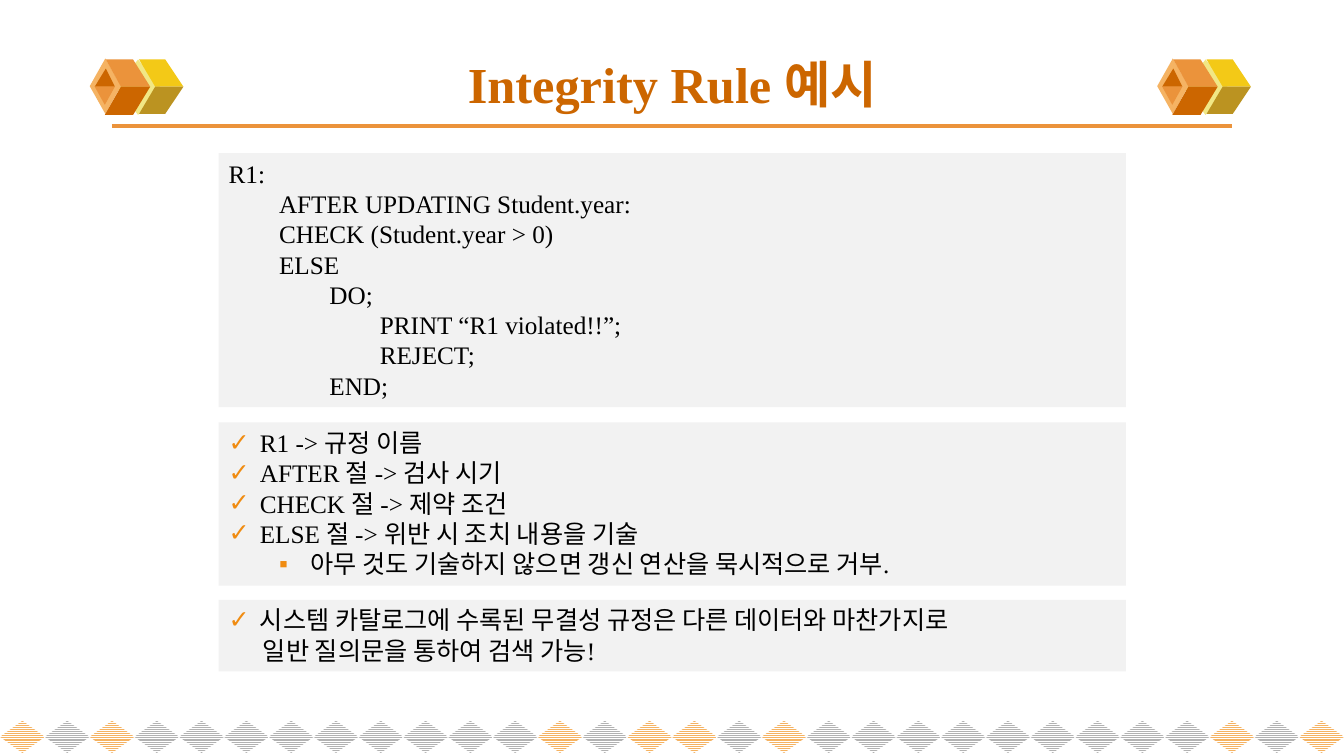
from dataclasses import dataclass

from lxml import etree
from pptx import Presentation
from pptx.dml.color import RGBColor
from pptx.enum.dml import MSO_PATTERN
from pptx.enum.shapes import MSO_CONNECTOR, MSO_SHAPE
from pptx.enum.text import MSO_ANCHOR, MSO_AUTO_SIZE, PP_ALIGN
from pptx.oxml.ns import qn
from pptx.util import Inches, Pt

DIAMOND = MSO_SHAPE.DIAMOND
RECTANGLE = MSO_SHAPE.RECTANGLE
STRAIGHT = MSO_CONNECTOR.STRAIGHT
STRIPES = MSO_PATTERN.NARROW_HORIZONTAL
CENTER, LEFT = PP_ALIGN.CENTER, PP_ALIGN.LEFT
MIDDLE, TOP = MSO_ANCHOR.MIDDLE, MSO_ANCHOR.TOP
GROW = MSO_AUTO_SIZE.SHAPE_TO_FIT_TEXT


@dataclass(frozen=True)
class Theme:
    font: str = "Times New Roman"
    title_size: int = 36
    body_size: int = 18
    text: str = "000000"
    background: str = "FFFFFF"
    panel: str = "F2F2F2"
    bullet: str = "F08C12"
    rust: str = "CC6600"
    orange: str = "EB933B"
    light_orange: str = "F5B363"
    pale_yellow: str = "F1E785"
    yellow: str = "F3C917"
    olive: str = "BB9321"
    gray: str = "B2B2B2"


THEME = Theme()

SLIDE_WIDTH = 13.333
BORDER_COUNT = 30
BORDER_ORANGE = {0, 2, 12, 14, 15, 17, 27, 29}
EMBLEM_LEFTS = (0.89, 11.48)
# Facets of an emblem, relative to its left edge.
EMBLEM_FACETS = (
    (THEME.yellow, ((0.65, 0.86), (0.93, 0.86), (0.75, 0.59), (0.49, 0.59))),
    (THEME.olive, ((0.65, 0.86), (0.93, 0.86), (0.75, 1.13), (0.49, 1.13))),
    (THEME.orange, ((0.31, 0.86), (0.6, 0.86), (0.43, 0.59), (0.16, 0.59))),
    (THEME.rust, ((0.31, 0.86), (0.6, 0.86), (0.43, 1.14), (0.15, 1.14))),
    (THEME.rust, ((0.16, 0.68), (0.05, 0.86), (0.25, 0.86))),
    (THEME.orange, ((0.15, 1.04), (0.05, 0.86), (0.25, 0.86))),
)

CHECK, SQUARE = "✓", "▪"
HANG = 0.31
LEVEL_STEP = 0.5
WRAP_INDENT = 0.34

# Each line: level, left indent, bullet, text.
RULE_CODE = [
    (level, level * LEVEL_STEP, None, text)
    for level, text in (
        (0, "R1:"),
        (1, "AFTER UPDATING Student.year:"),
        (1, "CHECK (Student.year > 0)"),
        (1, "ELSE"),
        (2, "DO;"),
        (3, "PRINT “R1 violated!!”;"),
        (3, "REJECT;"),
        (2, "END;"),
    )
]
CLAUSES = [
    (level, HANG + level * LEVEL_STEP, bullet, text)
    for level, bullet, text in (
        (0, CHECK, "R1 -> 규정 이름"),
        (0, CHECK, "AFTER 절 -> 검사 시기"),
        (0, CHECK, "CHECK 절 -> 제약 조건"),
        (0, CHECK, "ELSE 절 -> 위반 시 조치 내용을 기술"),
        (1, SQUARE, "아무 것도 기술하지 않으면 갱신 연산을 묵시적으로 거부."),
    )
]
CATALOG_NOTE = [
    (0, HANG, CHECK, "시스템 카탈로그에 수록된 무결성 규정은 다른 데이터와 마찬가지로"),
    (0, WRAP_INDENT, None, "일반 질의문을 통하여 검색 가능!"),
]


def rgb(color):
    return RGBColor.from_string(color)


def paint(shape, color):
    shape.fill.solid()
    shape.fill.fore_color.rgb = rgb(color)
    shape.line.fill.background()
    shape.shadow.inherit = False


def add_run(paragraph, text, size, color, bold=False):
    run = paragraph.add_run()
    run.text = text
    run.font.name = THEME.font
    run.font.size = Pt(size)
    run.font.bold = bold
    run.font.color.rgb = rgb(color)


def set_indent(paragraph, indent, bullet):
    properties = paragraph._p.get_or_add_pPr()
    properties.set("marL", str(Inches(indent)))
    properties.set("indent", str(Inches(-HANG if bullet else 0)))
    if not bullet:
        etree.SubElement(properties, qn("a:buNone"))
        return
    bullet_color = etree.SubElement(properties, qn("a:buClr"))
    etree.SubElement(bullet_color, qn("a:srgbClr"), val=THEME.bullet)
    etree.SubElement(properties, qn("a:buFont"), typeface="Arial")
    etree.SubElement(properties, qn("a:buChar"), char=bullet)


def add_title(slide, text):
    title = slide.shapes.title
    title.left, title.top = Inches(0.67), Inches(0.45)
    title.width, title.height = Inches(12), Inches(0.76)
    title.text_frame.vertical_anchor = MIDDLE
    paragraph = title.text_frame.paragraphs[0]
    paragraph.alignment = CENTER
    add_run(paragraph, text, THEME.title_size, THEME.rust, bold=True)


def add_panel(slide, top, height, lines):
    panel = slide.shapes.add_shape(
        RECTANGLE, Inches(2.17), Inches(top), Inches(9), Inches(height))
    paint(panel, THEME.panel)
    frame = panel.text_frame
    frame.word_wrap = True
    frame.auto_size = GROW
    frame.vertical_anchor = TOP
    for number, (level, indent, bullet, text) in enumerate(lines):
        paragraph = frame.add_paragraph() if number else frame.paragraphs[0]
        paragraph.level = level
        paragraph.alignment = LEFT
        set_indent(paragraph, indent, bullet)
        add_run(paragraph, text, THEME.body_size, THEME.text)


def add_diamond(slide, left, top, width, height):
    return slide.shapes.add_shape(
        DIAMOND, Inches(left), Inches(top), Inches(width), Inches(height))


def add_border(slide):
    """Row of striped diamonds along the bottom edge."""
    step = SLIDE_WIDTH / BORDER_COUNT
    for index in range(BORDER_COUNT):
        tile = add_diamond(slide, index * step, 7.15, step, 0.32)
        tile.fill.patterned()
        tile.fill.pattern = STRIPES
        tile.fill.fore_color.rgb = rgb(
            THEME.light_orange if index in BORDER_ORANGE else THEME.gray)
        tile.fill.back_color.rgb = rgb(THEME.background)
        tile.line.fill.background()
        tile.shadow.inherit = False


def add_emblem(slide, left):
    """Pair of folded cubes beside the title."""
    paint(add_diamond(slide, left + 0.26, 0.59, 0.44, 0.55), THEME.pale_yellow)
    for number, (color, corners) in enumerate(EMBLEM_FACETS):
        if number == 2:
            paint(add_diamond(slide, left, 0.58, 0.31, 0.55), THEME.light_orange)
        points = [(Inches(left + x), Inches(y)) for x, y in corners]
        outline = slide.shapes.build_freeform(*points[0])
        outline.add_line_segments(points[1:], close=True)
        paint(outline.convert_to_shape(), color)


def add_title_rule(slide):
    rule = slide.shapes.add_connector(
        STRAIGHT, Inches(1.11), Inches(1.25), Inches(12.22), Inches(1.25))
    rule.line.color.rgb = rgb(THEME.orange)
    rule.line.width = Pt(2.25)
    etree.SubElement(rule._element.spPr, qn("a:effectLst"))


def main():
    deck = Presentation()
    deck.slide_width, deck.slide_height = Inches(SLIDE_WIDTH), Inches(7.5)
    slide = deck.slides.add_slide(deck.slide_layouts.get_by_name("Title Only"))
    add_border(slide)
    add_title_rule(slide)
    for left in EMBLEM_LEFTS:
        add_emblem(slide, left)
    add_title(slide, "Integrity Rule 예시")
    add_panel(slide, 1.52, 2.52, RULE_CODE)
    add_panel(slide, 4.19, 1.62, CLAUSES)
    add_panel(slide, 5.95, 0.71, CATALOG_NOTE)
    deck.save("out.pptx")


if __name__ == "__main__":
    main()
